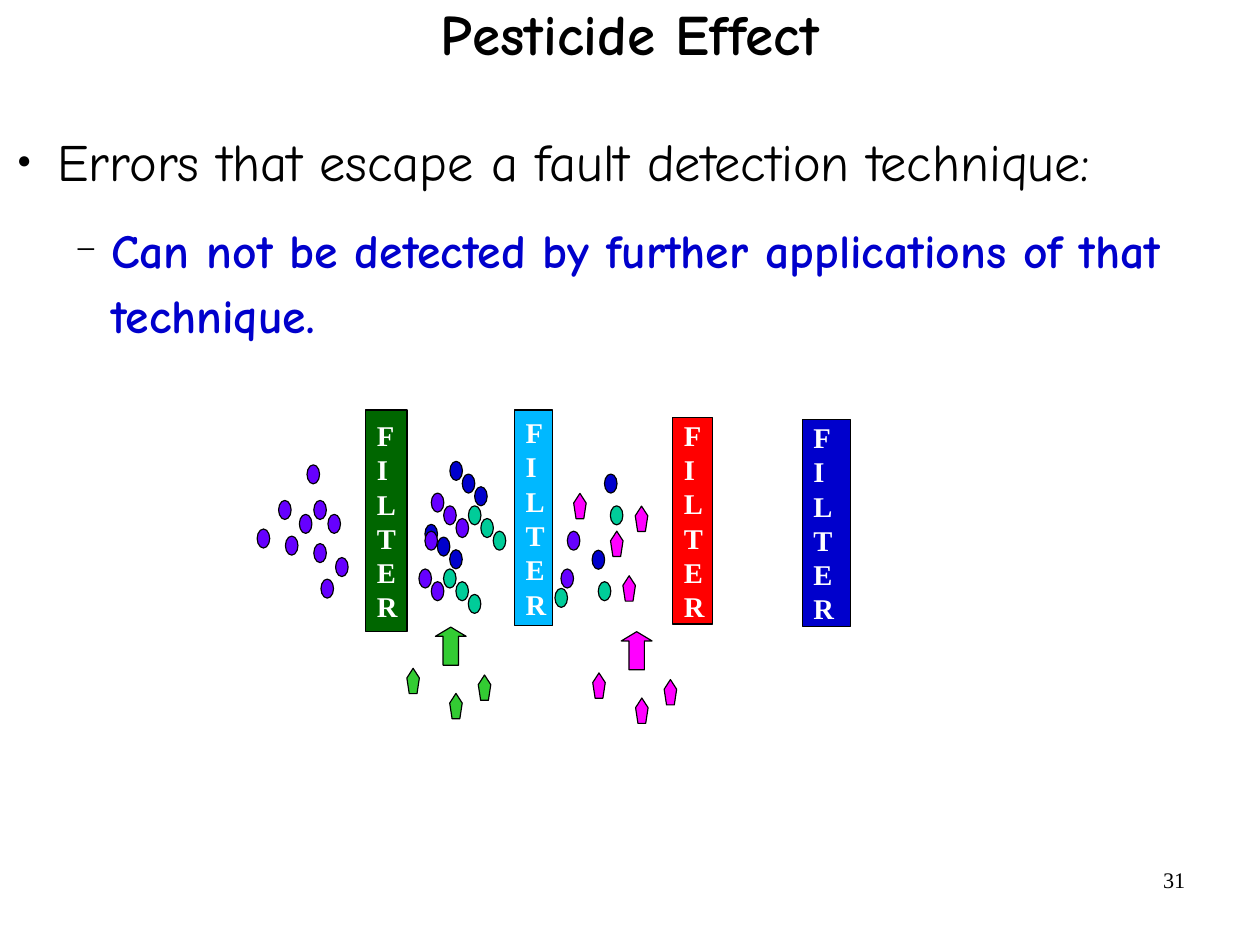
from lxml import etree
from pptx import Presentation
from pptx.dml.color import RGBColor
from pptx.enum.shapes import MSO_SHAPE
from pptx.enum.text import MSO_ANCHOR, PP_ALIGN
from pptx.oxml.ns import qn
from pptx.util import Pt

RECT, OVAL = MSO_SHAPE.RECTANGLE, MSO_SHAPE.OVAL
BUG, ARROW = MSO_SHAPE.REGULAR_PENTAGON, MSO_SHAPE.UP_ARROW
MIDDLE, TOP = MSO_ANCHOR.MIDDLE, MSO_ANCHOR.TOP
LEFT, CENTER, RIGHT = PP_ALIGN.LEFT, PP_ALIGN.CENTER, PP_ALIGN.RIGHT

HUES = {
    "black": "000000", "white": "FFFFFF", "blue": "0000CC",
    "violet": "6600FF", "teal": "00CC99", "pink": "FF00FF",
    "lime": "33CC33", "green": "006600", "sky": "00B8FF", "red": "FF0000",
}
SANS, SERIF = "Comic Neue", "Times New Roman"

FILTERS = [
    ("green", 230.4, 258.3, 26, 139.5),
    ("sky", 324, 258.3, 24.3, 136),
    ("blue", 505.4, 264.1, 30.2, 130.3),
    ("red", 423.8, 262.8, 25.2, 130.3),
]
TRAILS = [
    ("blue", 267.7, 330.3, 3), ("violet", 267.7, 334.6, 1),
    ("violet", 263.9, 358.4, 2), ("teal", 279.4, 358.4, 3),
    ("blue", 283.4, 290.6, 3), ("violet", 271.7, 310.6, 3),
    ("teal", 295.1, 318.6, 3), ("teal", 349.6, 370.6, 1),
    ("blue", 373, 346.6, 1), ("violet", 357.4, 334.6, 1),
    ("violet", 353.4, 358.4, 1), ("teal", 376.9, 366.4, 1),
    ("blue", 380.8, 298.6, 1), ("teal", 384.5, 318.6, 1),
]
SWARM = [
    (197.7, 315.2), (202.2, 364.8), (179.8, 337.7), (193.4, 292.8),
    (197.7, 342.4), (175.5, 315.2), (188.6, 324), (211.4, 351.2),
    (206.6, 324), (162, 333.2),
]
BUGS = [(361.4, 310.8), (384.6, 334.6), (392.4, 362.7), (400.2, 318.8)]
SPRAYS = [("pink", 391.4, 397.9), ("lime", 274.3, 395)]
SPREAD = [(-18, 26), (9, 41.8), (27, 30.2)]


def hue(name):
    """Return the colour of that name."""
    return RGBColor.from_string(HUES[name])


class Deck:
    """Holds the style and the current slide."""

    def __init__(self, wide, high):
        """Start a deck with one title-only slide."""
        self.deck = Presentation()
        self.deck.slide_width, self.deck.slide_height = Pt(wide), Pt(high)
        self.slide = self.deck.slides.add_slide(self.deck.slide_layouts[5])
        self.shapes = self.slide.shapes

    def frame(self, shape, inset=(0, 0), anchor=TOP, wrap=True):
        """Set the margins, anchor and wrap of a text frame."""
        text = shape.text_frame
        text.margin_left = text.margin_right = Pt(inset[0])
        text.margin_top = text.margin_bottom = Pt(inset[1])
        text.vertical_anchor, text.word_wrap = anchor, wrap
        return text

    def style(self, para, face, size, tint, bold=False, align=LEFT):
        """Set the font and alignment of a paragraph."""
        para.alignment = align
        font = para.font
        font.name, font.size, font.bold = face, Pt(size), bold
        font.color.rgb = hue(tint)

    def title(self, words, *box):
        """Place and fill the title."""
        head = self.shapes.title
        head.left, head.top, head.width, head.height = map(Pt, box)
        text = self.frame(head, anchor=MIDDLE)
        text.text = words
        para = text.paragraphs[0]
        para.line_spacing = 0.88
        self.style(para, SANS, 36, "black", True, CENTER)

    def label(self, words, *box):
        """Add a small right-aligned label."""
        text = self.frame(self.shapes.add_textbox(*map(Pt, box)), (7.2, 3.6))
        text.text = words
        self.style(text.paragraphs[0], SERIF, 14, "black", align=RIGHT)

    def bullets(self, items, *box):
        """Add a list of (words, mark, scale, indent, hang, size, tint, bold)."""
        text = self.frame(self.shapes.add_textbox(*map(Pt, box)))
        for level, item in enumerate(items):
            words, mark, scale, indent, hang, size, tint, bold = item
            para = text.add_paragraph() if level else text.paragraphs[0]
            para.text, para.level = words, level
            para.line_spacing = 1.14
            para.space_before, para.space_after = Pt(9 if level else 0), Pt(4.5)
            props = para._p.get_or_add_pPr()
            props.set("marL", str(Pt(indent)))
            props.set("indent", str(Pt(-hang)))
            shade = etree.SubElement(props, qn("a:buClr"))
            etree.SubElement(shade, qn("a:srgbClr"), val=HUES["black"])
            etree.SubElement(props, qn("a:buSzPct"), val=str(scale * 1000))
            etree.SubElement(props, qn("a:buFont"), typeface=SERIF)
            etree.SubElement(props, qn("a:buChar"), char=mark)
            self.style(para, SANS, size, tint, bold)

    def shape(self, kind, tint, *box):
        """Add a filled shape with a thin black outline."""
        shape = self.shapes.add_shape(kind, *map(Pt, box))
        shape.shadow.inherit = False
        shape.fill.solid()
        shape.fill.fore_color.rgb = hue(tint)
        shape.line.color.rgb = hue("black")
        shape.line.width = Pt(0.75)
        return shape

    def filter(self, tint, *box):
        """Add a bar with its name written downwards."""
        bar = self.shape(RECT, tint, *box)
        text = self.frame(bar, (7.2, 3.6), MIDDLE, False)
        text.text = "\n".join("FILTER")
        for para in text.paragraphs:
            self.style(para, SERIF, 18, "white", True)

    def trail(self, tint, left, top, count=1):
        """Add a slanted trail of dots."""
        for step in range(count):
            self.shape(OVAL, tint, left + 7.8 * step, top + 8 * step, 7.9, 12)

    def bug(self, tint, left, top):
        """Add a narrow pentagon."""
        self.shape(BUG, tint, left, top, 7.9, 16)

    def spray(self, tint, left, top):
        """Add an up arrow with three bugs below it."""
        arrow = self.shape(ARROW, tint, left, top, 19.4, 24)
        arrow.adjustments[0], arrow.adjustments[1] = 0.5, 0.3
        for across, down in SPREAD:
            self.bug(tint, left + across, top + down)


def main():
    """Build the slide and save it."""
    deck = Deck(793.75, 595.25)
    deck.label("31", 568.8, 542.2, 185, 41)
    deck.title("Pesticide Effect", 128.9, -3.6, 535.7, 54.7)
    deck.bullets([
        ("Errors that escape a fault detection technique:",
         "●", 45, 33.1, 25.2, 33, "black", False),
        ("Can not be detected by further applications of that technique.",
         "−", 75, 67.2, 22.3, 30, "blue", True),
    ], 2.9, 75.6, 787, 372.2)
    for item in FILTERS:
        deck.filter(*item)
    for item in TRAILS:
        deck.trail(*item)
    for place in BUGS:
        deck.bug("pink", *place)
    for place in SWARM:
        deck.trail("violet", *place)
    for item in SPRAYS:
        deck.spray(*item)
    deck.deck.save("out.pptx")


if __name__ == "__main__":
    main()
